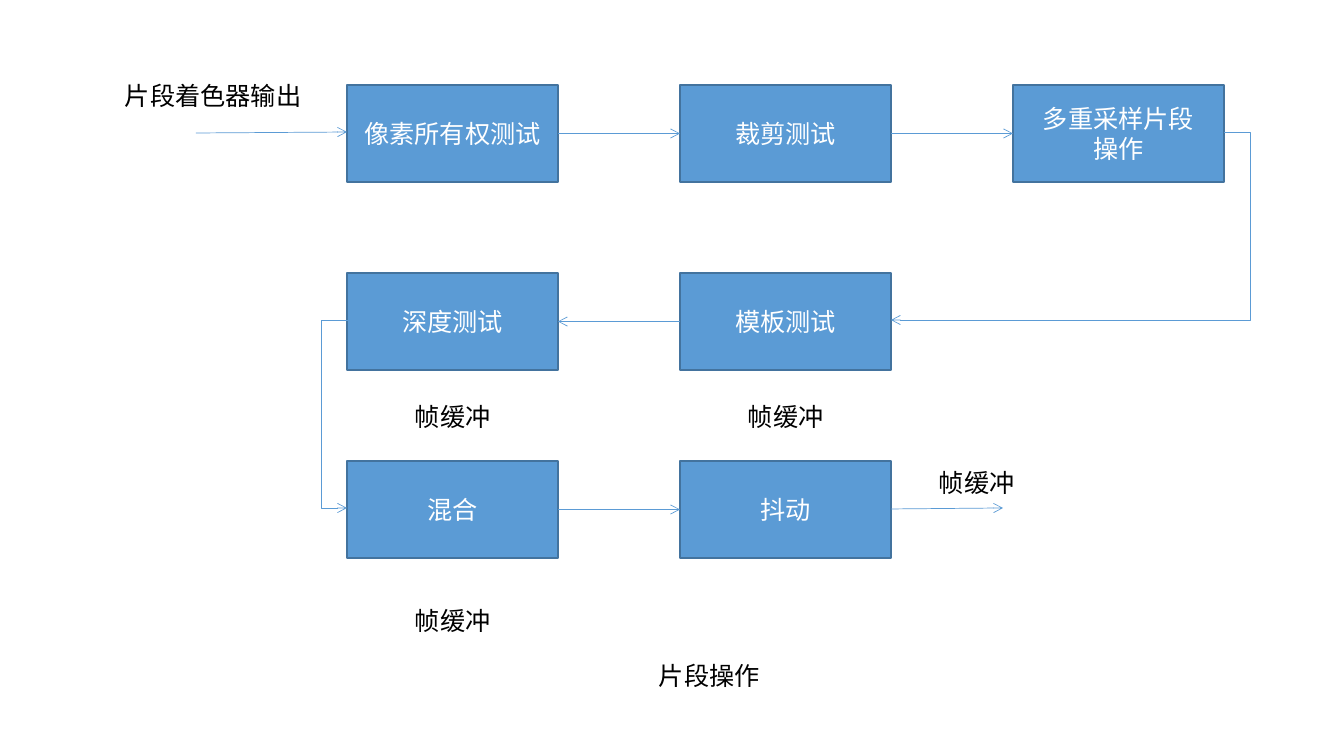
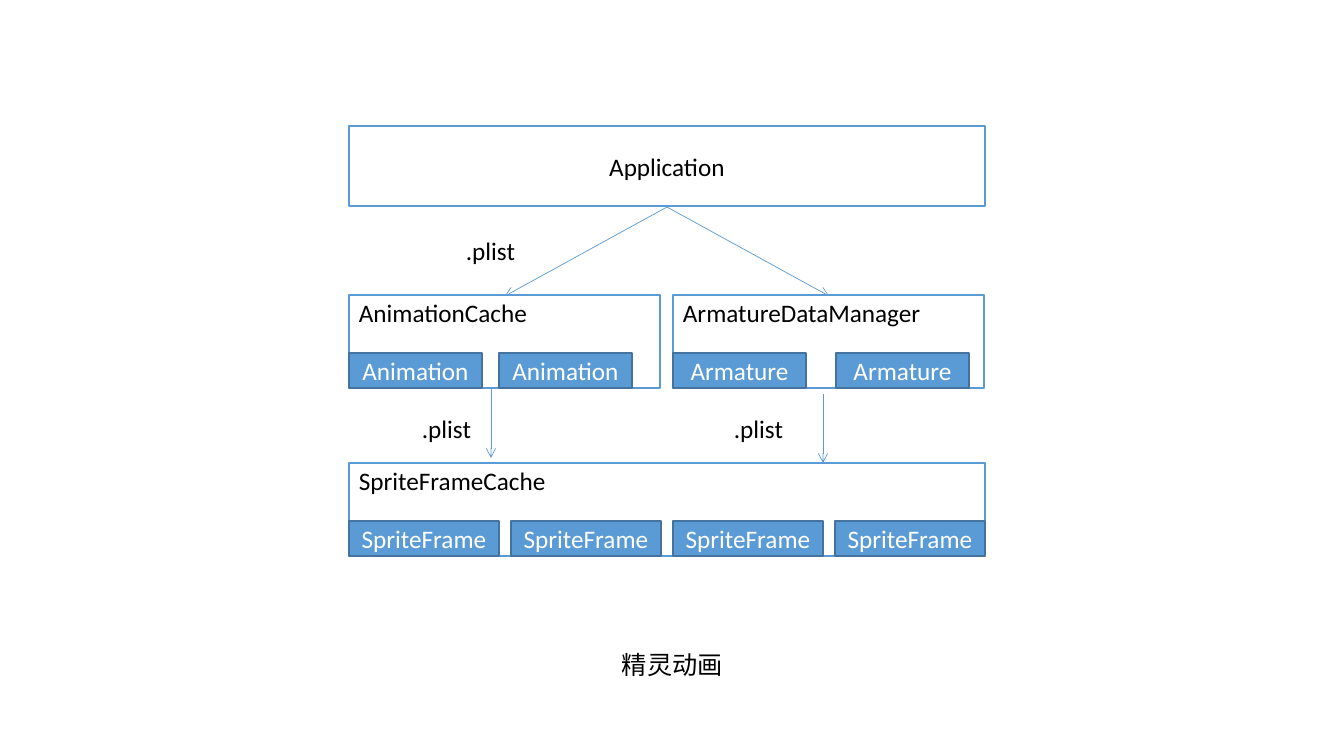
from dataclasses import dataclass
from lxml import etree
from pptx import Presentation
from pptx.dml.color import RGBColor
from pptx.enum.shapes import MSO_CONNECTOR, MSO_SHAPE
from pptx.enum.text import MSO_ANCHOR, MSO_AUTO_SIZE, PP_ALIGN
from pptx.oxml.ns import qn
from pptx.util import Inches, Pt

RECT = MSO_SHAPE.RECTANGLE
STRAIGHT, ELBOW = MSO_CONNECTOR.STRAIGHT, MSO_CONNECTOR.ELBOW
TOP, MIDDLE = MSO_ANCHOR.TOP, MSO_ANCHOR.MIDDLE
LEFT, CENTER = PP_ALIGN.LEFT, PP_ALIGN.CENTER
FIT = MSO_AUTO_SIZE.SHAPE_TO_FIT_TEXT
SCALE = Inches(7.5) / 756
LEFT_SITE, RIGHT_SITE = 1, 3


@dataclass(frozen=True)
class Theme:
    """Colours, font and sizes shared by the slides."""
    blue: RGBColor = RGBColor(0x5B, 0x9B, 0xD5)
    edge: RGBColor = RGBColor(0x43, 0x73, 0x9E)
    ink: RGBColor = RGBColor(0, 0, 0)
    paper: RGBColor = RGBColor(255, 255, 255)
    font: str = "Calibri"
    size: Pt = Pt(18)
    border: Pt = Pt(1)
    wire: Pt = Pt(0.5)


THEME = Theme()


def px(*values):
    """Turn pixels into EMU."""
    return [round(value * SCALE) for value in values]


def write(frame, text, color, align):
    """Fill a text frame in the shared type style."""
    frame.text = text
    for para in frame.paragraphs:
        para.alignment = align
        para.font.name = THEME.font
        para.font.size = THEME.size
        para.font.color.rgb = color


def block(slide, box, text, solid=True, align=CENTER):
    """Draw a filled or outlined rectangle with text."""
    shape = slide.shapes.add_shape(RECT, *px(*box))
    shape.shadow.inherit = False
    if solid:
        shape.fill.solid()
        shape.fill.fore_color.rgb = THEME.blue
    else:
        shape.fill.background()
    shape.line.color.rgb = THEME.edge if solid else THEME.blue
    shape.line.width = THEME.border
    shape.text_frame.vertical_anchor = MIDDLE
    write(shape.text_frame, text, THEME.paper if solid else THEME.ink, align)
    return shape


def label(slide, x, y, width, text):
    """Place a one-line text box."""
    frame = slide.shapes.add_textbox(*px(x, y, width, 40)).text_frame
    frame.word_wrap = False
    frame.auto_size = FIT
    write(frame, text, THEME.ink, LEFT)


def arrow(slide, start, end, mid=None):
    """Draw an arrow, bent at the upright line x = mid if given."""
    kind = STRAIGHT if mid is None else ELBOW
    line = slide.shapes.add_connector(kind, *px(*start, *end))
    line.line.color.rgb = THEME.blue
    line.line.width = THEME.wire
    props = line.element.spPr
    etree.SubElement(props.find(qn("a:ln")), qn("a:tailEnd"), type="arrow")
    etree.SubElement(props, qn("a:effectLst"))
    if mid is not None:
        ratio = round(100000 * (mid - start[0]) / (end[0] - start[0]))
        guides = line.element.xpath(".//a:avLst")[0]
        etree.SubElement(guides, qn("a:gd"), name="adj1", fmla=f"val {ratio}")
    return line


def link(slide, first, second):
    """Join two blocks of one row by a glued arrow."""
    ahead = first.left < second.left
    line = arrow(slide, (0, 0), (0, 0))
    line.begin_connect(first, RIGHT_SITE if ahead else LEFT_SITE)
    line.end_connect(second, LEFT_SITE if ahead else RIGHT_SITE)


def flow(slide, box):
    """Draw the fragment steps as a winding flow in the box."""
    left, top, wide, high = box
    width, height = 211, 97
    step, drop = (wide - width) // 2, (high - height) // 2
    rows = (
        ("像素所有权测试", "裁剪测试", "多重采样片段\n操作"),
        ("深度测试", "模板测试"),
        ("混合", "抖动"),
    )
    grid = [
        [block(slide, (left + col * step, top + row * drop, width, height), text)
         for col, text in enumerate(texts)]
        for row, texts in enumerate(rows)
    ]
    own, crop, multi = grid[0]
    depth, stencil = grid[1]
    blend, dither = grid[2]
    for pair in ((own, crop), (crop, multi), (stencil, depth), (blend, dither)):
        link(slide, *pair)
    first, second, third = (top + 47 + row * drop for row in range(3))
    edge = left + step + width
    right = left + wide
    arrow(slide, (left - 151, first + 1), (left, first))
    arrow(slide, (edge, third + 1), (edge + 112, third))
    arrow(slide, (right, first), (edge, second), right + 26)
    arrow(slide, (left + 1, second), (left, third), left - 26)
    label(slide, left - 232, top - 10, 197, "片段着色器输出")
    buffers = ((58, 311), (58 + step, 311), (58, 515), (582, 377))
    for x, y in buffers:
        label(slide, left + x, top + y, 96, "帧缓冲")


def cache(slide, box, title, parts, width, pitch):
    """Draw a titled frame with a row of parts along its foot."""
    left, top, wide, high = box
    frame = block(slide, box, title, False, LEFT).text_frame
    frame.vertical_anchor = TOP
    frame.margin_top = px(2)[0]
    for place, part in enumerate(parts):
        block(slide, (left + place * pitch, top + high - 35, width, 35), part)


def stack(slide, box):
    """Draw the layers of sprite animation in the box."""
    left, top, wide, high = box
    tall, half, shift = 93, 311, 324
    upper, lower = top + 169, top + high - tall
    block(slide, (left, top, wide, 80), "Application", False)
    cache(slide, (left, upper, half, tall), "AnimationCache",
          ["Animation"] * 2, 133, 150)
    cache(slide, (left + shift, upper, half, tall), "ArmatureDataManager",
          ["Armature"] * 2, 133, 163)
    cache(slide, (left, lower, wide, tall), "SpriteFrameCache",
          ["SpriteFrame"] * 4, 150, 162)
    peak = left + wide // 2
    for side in (-1, 1):
        arrow(slide, (peak, top + 81), (peak + side * shift // 2, upper + 1))
    for x, y in ((142, lower - 74), (474, lower - 69)):
        arrow(slide, (left + x, y), (left + x, y + 69))
    for x, y in ((107, 104), (63, 282), (375, 282)):
        label(slide, left + x, top + y, 70, ".plist")


def main():
    """Build and save both slides."""
    deck = Presentation()
    deck.slide_width, deck.slide_height = px(1344, 756)
    pages = (
        (flow, (347, 85, 877, 473), (649, 655), "片段操作"),
        (stack, (349, 126, 636, 430), (612, 644), "精灵动画"),
    )
    for draw, box, spot, title in pages:
        slide = deck.slides.add_slide(deck.slide_layouts[6])
        draw(slide, box)
        label(slide, *spot, 121, title)
    deck.save("out.pptx")


main()
